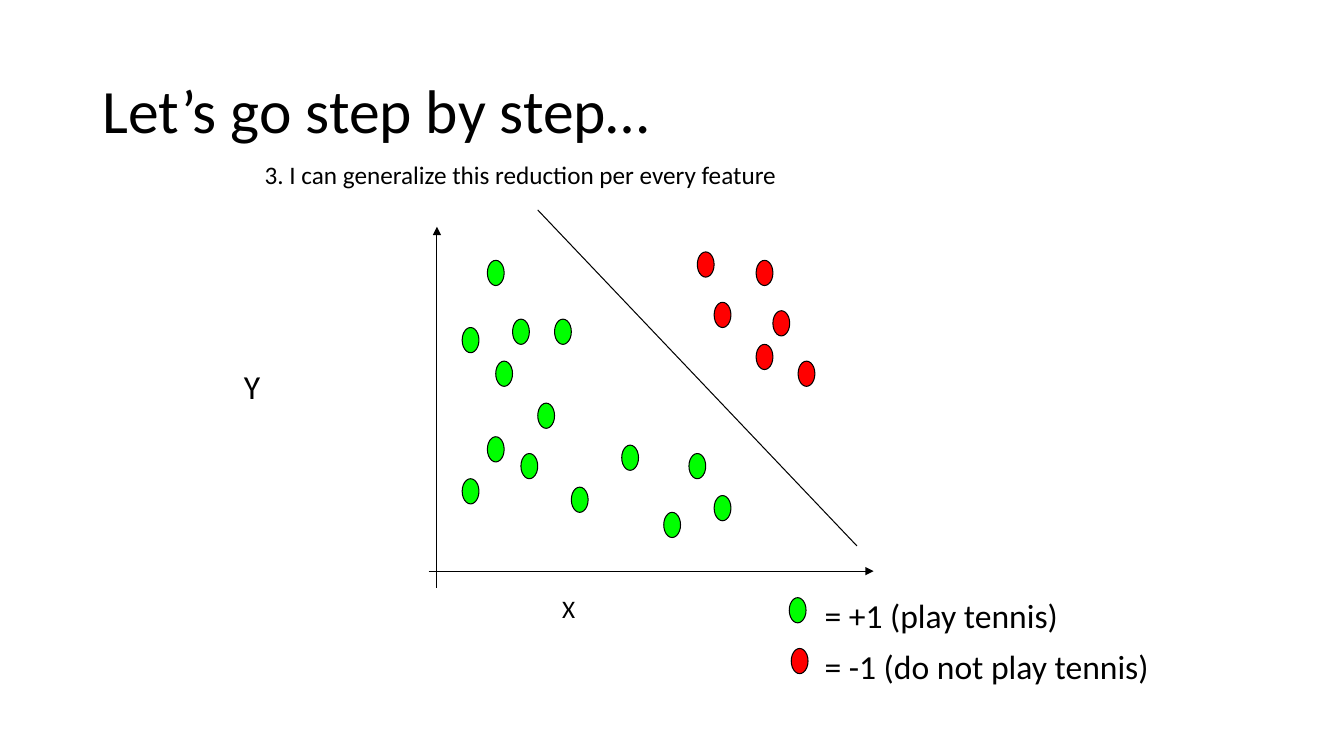
from lxml import etree
from pptx import Presentation
from pptx.dml.color import RGBColor
from pptx.enum.shapes import MSO_CONNECTOR, MSO_SHAPE
from pptx.enum.text import MSO_ANCHOR
from pptx.oxml.ns import qn
from pptx.util import Cm, Pt

STRAIGHT = MSO_CONNECTOR.STRAIGHT
OVAL = MSO_SHAPE.OVAL
TOP, MIDDLE = MSO_ANCHOR.TOP, MSO_ANCHOR.MIDDLE

BLACK = RGBColor(0x00, 0x00, 0x00)
GREEN = RGBColor(0x00, 0xFF, 0x00)
RED = RGBColor(0xFF, 0x00, 0x00)

GRID = 2.54 / 12
LINE_WIDTH = Pt(0.75)

PLAY_DAYS = [(7, 6), (10, 13), (15, 13), (8, 18), (4, 14), (7, 27), (11, 29),
             (4, 32), (13, 23), (17, 33), (28, 36), (23, 28), (34, 34), (31, 29)]
NO_PLAY_DAYS = [(44, 18), (39, 16), (34, 11), (32, 5), (41, 12), (39, 6)]


def add_text(slide, text, left, top, width, height, size=18, anchor=TOP,
             wrap=False, spacing=1.0):
    """Add one line of Calibri text in a box measured in centimetres."""
    box = slide.shapes.add_textbox(Cm(left), Cm(top), Cm(width), Cm(height))
    frame = box.text_frame
    frame.word_wrap = wrap
    frame.vertical_anchor = anchor
    paragraph = frame.paragraphs[0]
    paragraph.text = text
    paragraph.line_spacing = spacing
    paragraph.font.name = "Calibri"
    paragraph.font.size = Pt(size)
    paragraph.font.color.rgb = BLACK


def add_dot(slide, left, top, color):
    """Add one outlined sample, two grid steps wide and three high."""
    dot = slide.shapes.add_shape(OVAL, Cm(left), Cm(top), Cm(2 * GRID), Cm(3 * GRID))
    dot.shadow.inherit = False
    dot.fill.solid()
    dot.fill.fore_color.rgb = color
    dot.line.color.rgb = BLACK
    dot.line.width = LINE_WIDTH


def add_line(slide, start, end, arrow=False):
    """Add a thin black line, with an arrowhead at its end if asked."""
    line = slide.shapes.add_connector(STRAIGHT, *map(Cm, start + end))
    line.line.color.rgb = BLACK
    line.line.width = LINE_WIDTH
    properties = line.line._get_or_add_ln()
    if arrow:
        etree.SubElement(properties, qn("a:tailEnd"), type="triangle")
    etree.SubElement(properties.getparent(), qn("a:effectLst"))


def add_heading(slide, left, top, width):
    """Place the title and the current step below it."""
    add_text(slide, "Let’s go step by step…", left, top, width, 3.68,
             size=44, anchor=MIDDLE, wrap=True, spacing=0.9)
    add_text(slide, "3. I can generalize this reduction per every feature",
             left + 4.09, top + 2.87, 13.56, 1.02)


def add_plot(slide, left, top):
    """Place the axes, samples and separating line on the plot's grid."""
    def at(column, row):
        """Turn a grid position into centimetres on the slide."""
        return left + column * GRID, top + row * GRID

    add_line(slide, at(1, 45), at(1, 2), arrow=True)
    add_line(slide, at(0, 43), at(53, 43), arrow=True)
    add_text(slide, "X", left + 3.12, top + 9.53, 0.84, 1.02)
    add_text(slide, "Y", left - 4.9, top + 3.81, 0.94, 1.27, size=24)
    for color, days in ((GREEN, PLAY_DAYS), (RED, NO_PLAY_DAYS)):
        for day in days:
            add_dot(slide, *at(*day), color)
    add_line(slide, at(13, 0), at(51, 40))


def add_legend(slide, left, top):
    """Place one row for each class of sample."""
    rows = ((GREEN, "= +1 (play tennis)", 6.63),
            (RED, "= -1 (do not play tennis)", 8.79))
    for index, (color, meaning, width) in enumerate(rows):
        row_top = top + index * 1.28
        add_dot(slide, left + index * 0.05, row_top + 0.2, color)
        add_text(slide, meaning, left + 0.64, row_top, width, 1.27, size=24)


def main():
    """Build the slide and save it."""
    deck = Presentation()
    deck.slide_width, deck.slide_height = Cm(33.87), Cm(19.05)
    slide = deck.slides.add_slide(deck.slide_layouts[6])
    add_heading(slide, 2.33, 1.01, 29.21)
    add_plot(slide, 10.8, 5.29)
    add_legend(slide, 19.89, 14.86)
    deck.save("out.pptx")


if __name__ == "__main__":
    main()
